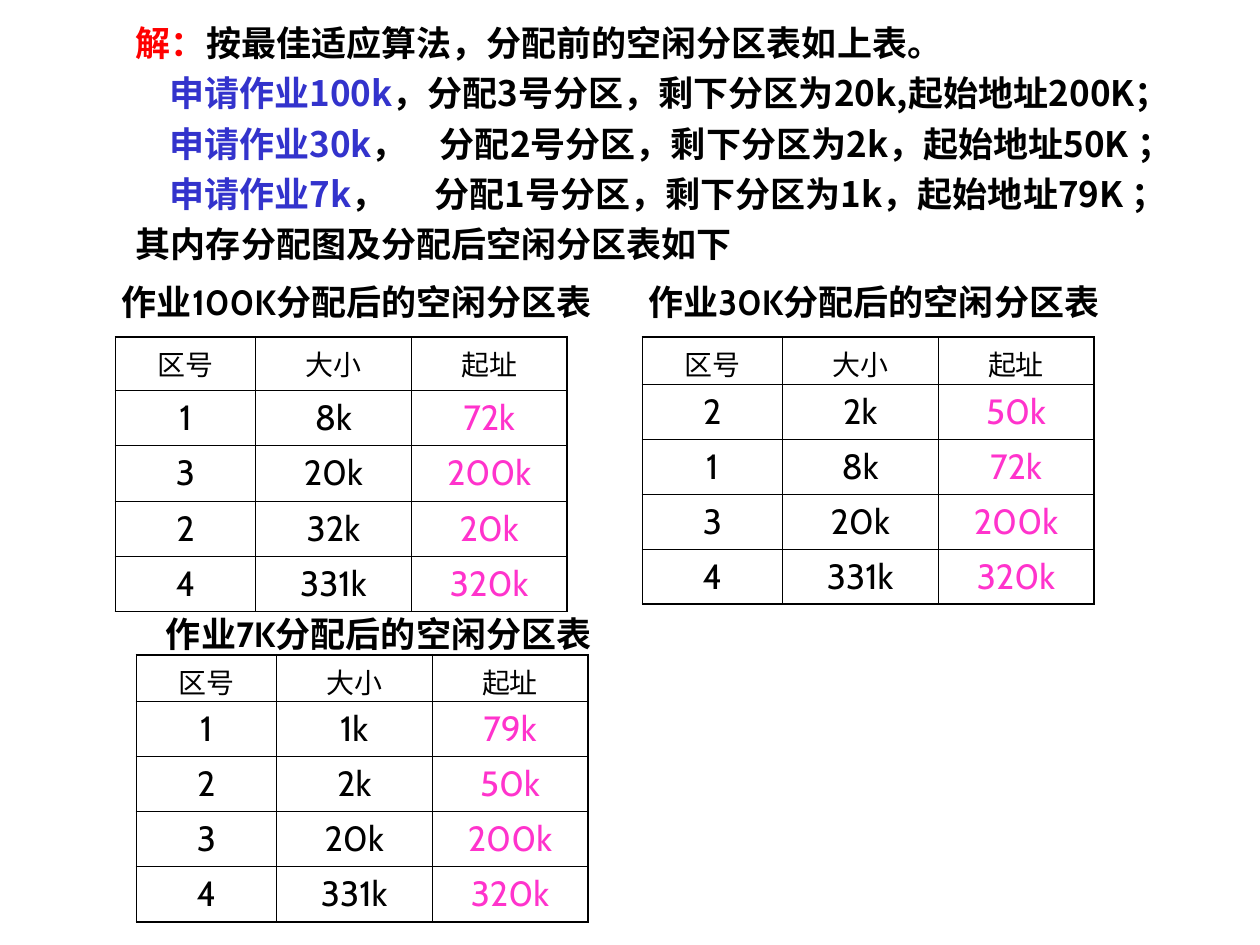
from pptx import Presentation
from pptx import util as u
from pptx.dml.color import RGBColor
from pptx.enum import shapes, text
from pptx.oxml import ns
from lxml import etree

BLACK = RGBColor(0x00, 0x00, 0x00)
WHITE = RGBColor(0xFF, 0xFF, 0xFF)
RED = RGBColor(0xFF, 0x00, 0x00)
BLUE = RGBColor(0x33, 0x33, 0xCC)
PINK = RGBColor(0xFF, 0x33, 0xCC)

CHINESE_FONT = "Noto Sans CJK SC"
LATIN_FONT = "Cabin"
SOLUTION_FONT = {"name": CHINESE_FONT, "size": u.Pt(20), "bold": True}
CAPTION_FONT = {"name": LATIN_FONT, "size": u.Pt(20), "bold": True}
HEADER_FONT = {"name": LATIN_FONT, "size": u.Pt(16), "bold": False}
VALUE_FONT = {"name": LATIN_FONT, "size": u.Pt(20), "bold": False}
FRAME = {
    "word_wrap": True,
    "vertical_anchor": text.MSO_ANCHOR.TOP,
    "margin_left": u.Cm(0.25),
    "margin_right": u.Cm(0.25),
    "margin_top": u.Cm(0.13),
    "margin_bottom": u.Cm(0.13),
}

OUTER_LINE = u.Pt(1.08)
INNER_LINE = u.Pt(0.45)
COLUMN_WIDTHS = (2.82, 3.14, 3.14)
HEADER_HEIGHT, ROW_HEIGHT = 0.94, 1.11
CAPTION_SIZE = (10.59, 1.11)
HEADERS = ("区号", "大小", "起址")

SOLUTION_LINES = [
    ((), [("解：", RED), ("按最佳适应算法，分配前的空闲分区表如上表。", BLACK)]),
    ((0.67,), [("\t申请作业100k", BLUE), ("，分配3号分区，剩下分区为20k,起始地址200K；", BLACK)]),
    ((0.67, 6.13), [("\t申请作业30k", BLUE), ("，\t分配2号分区，剩下分区为2k，起始地址50K ；", BLACK)]),
    ((0.67, 6.02), [("\t申请作业7k", BLUE), ("，\t分配1号分区，剩下分区为1k，起始地址79K ；", BLACK)]),
    ((), [("其内存分配图及分配后空闲分区表如下", BLACK)]),
]
PARTITION_TABLES = [
    ((2.33, 6.8), (-0.43, -1.27), "作业100K分配后的空闲分区表",
     [("1", "8k", "72k"), ("3", "20k", "200k"), ("2", "32k", "20k"), ("4", "331k", "320k")]),
    ((12.95, 6.8), (-0.63, -1.27), "作业30K分配后的空闲分区表",
     [("2", "2k", "50k"), ("1", "8k", "72k"), ("3", "20k", "200k"), ("4", "331k", "320k")]),
    ((2.75, 13.2), (-0.41, -0.99), "作业7K分配后的空闲分区表",
     [("1", "1k", "79k"), ("2", "2k", "50k"), ("3", "20k", "200k"), ("4", "331k", "320k")]),
]


def apply_format(target, values):
    """Set each named attribute of the target."""
    for name, value in values.items():
        setattr(target, name, value)


def add_run(paragraph, wording, font, color):
    """Add a run with its Latin and Chinese fonts."""
    run = paragraph.add_run()
    run.text = wording
    apply_format(run.font, font)
    run.font.color.rgb = color
    properties = run._r.get_or_add_rPr()
    etree.SubElement(properties, ns.qn("a:ea"), typeface=CHINESE_FONT)


def add_tab_stops(paragraph, positions):
    """Give the paragraph left tab stops at positions in centimetres."""
    if positions:
        tab_list = etree.SubElement(paragraph._p.get_or_add_pPr(), ns.qn("a:tabLst"))
        for position in positions:
            etree.SubElement(tab_list, ns.qn("a:tab"), pos=str(u.Cm(position)), algn="l")


def add_solution(slide, left, top, width, height):
    """Place the worked solution in a white box."""
    box = slide.shapes.add_shape(
        shapes.MSO_SHAPE.RECTANGLE, u.Cm(left), u.Cm(top), u.Cm(width), u.Cm(height))
    box.shadow.inherit = False
    box.fill.solid()
    box.fill.fore_color.rgb = WHITE
    box.line.fill.background()
    frame = box.text_frame
    apply_format(frame, FRAME)
    for index, (tab_stops, runs) in enumerate(SOLUTION_LINES):
        paragraph = frame.add_paragraph() if index else frame.paragraphs[0]
        add_tab_stops(paragraph, tab_stops)
        apply_format(paragraph, {"alignment": text.PP_ALIGN.LEFT, "line_spacing": 1.2})
        for wording, color in runs:
            add_run(paragraph, wording, SOLUTION_FONT, color)


def set_borders(cell, widths):
    """Draw black cell borders with the width given for each side."""
    properties = cell._tc.get_or_add_tcPr()
    for index, (side, width) in enumerate(widths.items()):
        line = etree.Element(ns.qn(f"a:ln{side}"), w=str(width))
        fill = etree.SubElement(line, ns.qn("a:solidFill"))
        etree.SubElement(fill, ns.qn("a:srgbClr"), val=str(BLACK))
        properties.insert(index, line)


def fill_cell(cell, wording, font, color):
    """Write centred text in an unfilled cell."""
    cell.fill.background()
    paragraph = cell.text_frame.paragraphs[0]
    paragraph.alignment = text.PP_ALIGN.CENTER
    add_run(paragraph, wording, font, color)


def add_partition_table(slide, origin, caption_offset, caption, records):
    """Place a free partition table at its origin, with a caption above."""
    left, top = origin
    rows = [HEADERS, *records]
    heights = [HEADER_HEIGHT] + [ROW_HEIGHT] * len(records)
    table = slide.shapes.add_table(
        len(rows), len(HEADERS), u.Cm(left), u.Cm(top),
        u.Cm(sum(COLUMN_WIDTHS)), u.Cm(sum(heights))).table
    apply_format(table, {"first_row": False, "horz_banding": False})
    for column, width in zip(table.columns, COLUMN_WIDTHS):
        column.width = u.Cm(width)
    last_row, last_column = len(rows) - 1, len(HEADERS) - 1
    for row, values in enumerate(rows):
        table.rows[row].height = u.Cm(heights[row])
        for column, value in enumerate(values):
            cell = table.cell(row, column)
            color = PINK if row and column == last_column else BLACK
            fill_cell(cell, value, VALUE_FONT if row else HEADER_FONT, color)
            edges = {"L": column == 0, "R": column == last_column,
                     "T": row == 0, "B": row == last_row}
            set_borders(cell, {side: OUTER_LINE if outer else INNER_LINE
                               for side, outer in edges.items()})

    shift_x, shift_y = caption_offset
    width, height = CAPTION_SIZE
    box = slide.shapes.add_textbox(
        u.Cm(left + shift_x), u.Cm(top + shift_y), u.Cm(width), u.Cm(height))
    apply_format(box.text_frame, FRAME)
    paragraph = box.text_frame.paragraphs[0]
    paragraph.alignment = text.PP_ALIGN.CENTER
    add_run(paragraph, caption, CAPTION_FONT, BLACK)


def main():
    """Build and save the slide."""
    presentation = Presentation()
    apply_format(presentation, {"slide_width": u.Cm(25.4), "slide_height": u.Cm(19.05)})
    slide = presentation.slides.add_slide(presentation.slide_layouts[6])
    add_solution(slide, 2.49, 0.13, 22.91, 5.33)
    for partition_table in PARTITION_TABLES:
        add_partition_table(slide, *partition_table)
    presentation.save("out.pptx")


if __name__ == "__main__":
    main()
